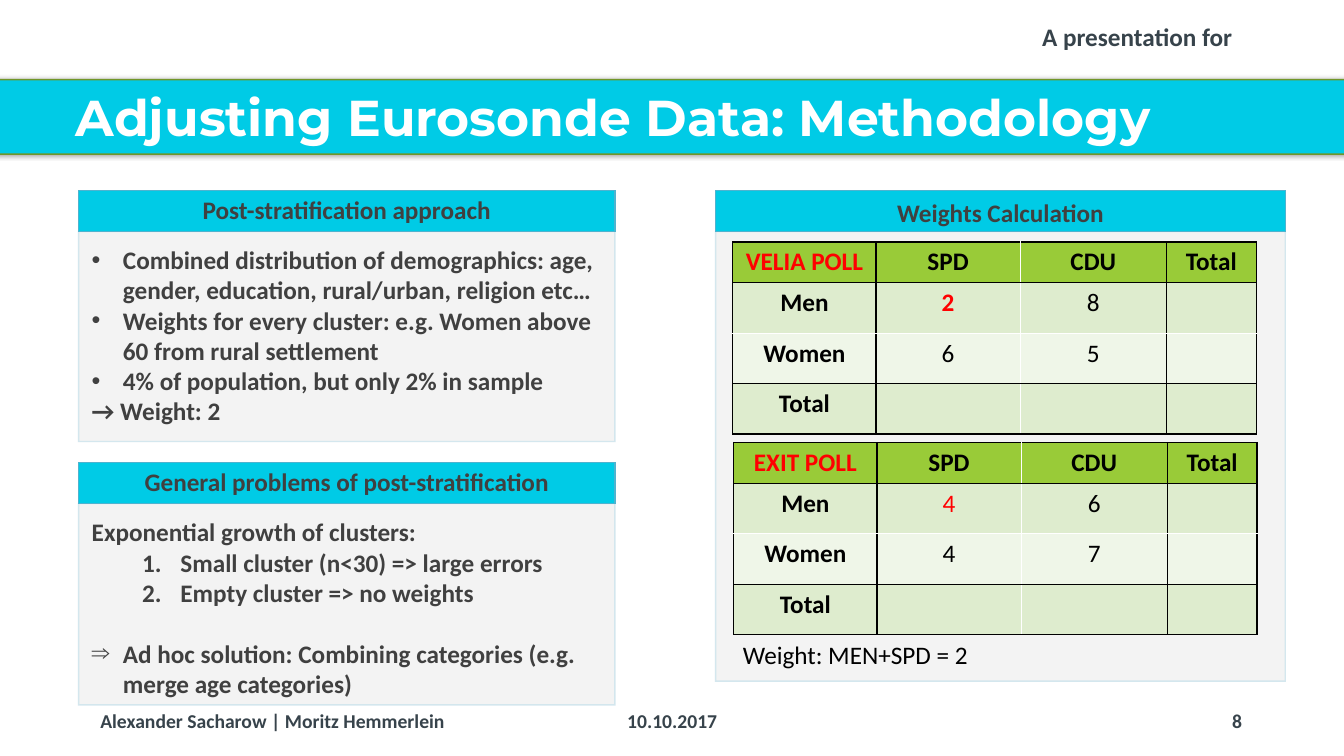
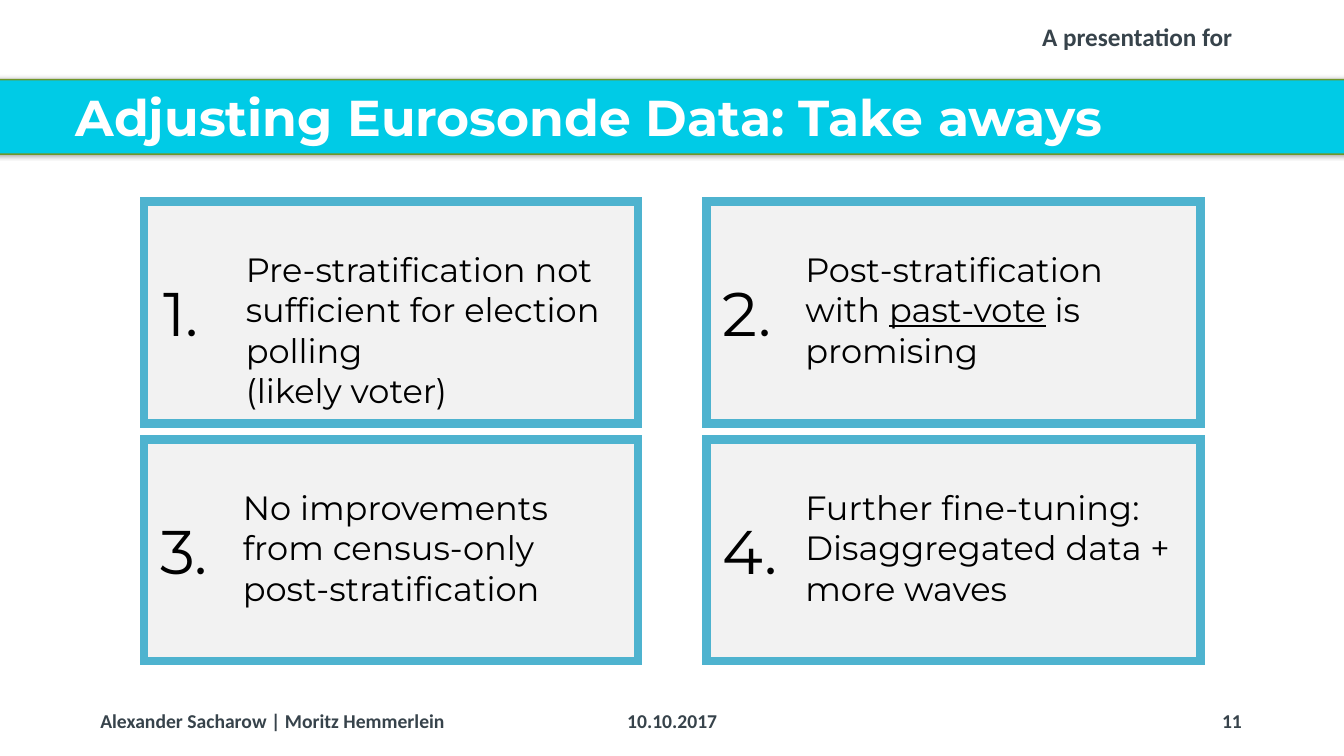
from dataclasses import dataclass
from typing import NamedTuple

from lxml import etree
from pptx import Presentation
from pptx import util as u
from pptx.dml.color import RGBColor
from pptx.enum import shapes, text
from pptx.oxml.ns import qn

WIDTH, HEIGHT = u.Inches(13.33), u.Inches(7.5)
LEFT, CENTER, RIGHT = text.PP_ALIGN.LEFT, text.PP_ALIGN.CENTER, text.PP_ALIGN.RIGHT
TOP, MIDDLE = text.MSO_ANCHOR.TOP, text.MSO_ANCHOR.MIDDLE
RECT = shapes.MSO_SHAPE.RECTANGLE


@dataclass(frozen=True)
class Theme:
    cyan: str = "00CBE6"
    band_line: str = "719629"
    edge: str = "4EB3CF"
    pale_edge: str = "D0E5ED"
    panel: str = "F2F2F2"
    slate: str = "37434B"
    gray: str = "404040"
    black: str = "000000"
    white: str = "FFFFFF"
    red: str = "FF0000"
    head_row: str = "99CB38"
    rows: tuple = ("DEECCE", "EFF6E8")
    sans: str = "Calibri"
    display: str = "Montserrat"
    footer: int = 14
    body: int = 18
    takeaway: int = 24
    title: int = 36
    number: int = 44


T = Theme()


class Box(NamedTuple):
    """Left, top, width and height in percent of the slide."""
    x: float
    y: float
    w: float
    h: float

    def emu(self) -> tuple:
        return (share(self.x, WIDTH), share(self.y, HEIGHT),
                share(self.w, WIDTH), share(self.h, HEIGHT))


class Item(NamedTuple):
    text: str
    bullet: str = ""
    margin: float = 0
    hang: float = 0
    level: int = 0
    before: float = 0


class Panel(NamedTuple):
    heading: str
    box: Box
    items: tuple = ()
    anchor: text.MSO_ANCHOR = MIDDLE


class Poll(NamedTuple):
    name: str
    x: float
    y: float
    men: tuple
    women: tuple
    key_bold: bool


class Card(NamedTuple):
    lines: tuple
    shift: float = 0


PANEL_HEAD = 5.4
COLUMNS = (10.65, 10.73, 10.88, 6.68)
ROWS = (5.33, 6.67, 6.67, 6.67)
WEIGHTS_BOX = Box(53.25, 25.2, 42.38, 64.9)


def dot(line: str) -> Item:
    return Item(line, "•", 0.31, 0.31)


def numbered(line: str) -> Item:
    return Item(line, "1.", 0.88, 0.38, 1)


PANELS = (
    Panel("Post-stratification approach", Box(5.85, 25.2, 39.9, 33.2), (
        dot("Combined distribution of demographics: age, gender, education, "
            "rural/urban, religion etc…"),
        dot("Weights for every cluster: e.g. Women above 60 from rural settlement"),
        dot("4% of population, but only 2% in sample"),
        Item("→ Weight: 2"))),
    Panel("General problems of post-stratification", Box(5.85, 61.2, 39.9, 32.05), (
        Item("Exponential growth of clusters:"),
        numbered("Small cluster (n<30) => large errors"),
        numbered("Empty cluster => no weights"),
        Item("Ad hoc solution: Combining categories (e.g. merge age categories)",
             "⇒", 0.31, 0.31, 0, 22))),
    Panel("Weights Calculation", WEIGHTS_BOX, anchor=TOP),
)
POLLS = (Poll("VELIA POLL", 54.53, 32, ("2", "8"), ("6", "5"), True),
         Poll("EXIT POLL", 54.6, 58.53, ("4", "6"), ("4", "7"), False))
CARDS = (
    Card((("Pre-stratification not sufficient for election polling",),
          ("(likely voter)",)), 0.22),
    Card((("Post-stratification with ", "past-vote", " is promising"),)),
    Card((("No improvements from census-only post-stratification",),)),
    Card((("Further fine-tuning: Disaggregated data + more waves",),)),
)


def share(percent: float, whole: int) -> int:
    return round(percent * whole / 100)


def rgb(color: str) -> RGBColor:
    return RGBColor.from_string(color)


def add_run(p, content: str, *, size: int = T.body, color: str = T.black,
            bold: bool = False, font: str = T.sans, underline: bool = False) -> None:
    r = p.add_run()
    r.text = content
    r.font.size, r.font.name = u.Pt(size), font
    r.font.bold, r.font.underline = bold, underline
    r.font.color.rgb = rgb(color)


def set_frame(tf, anchor=TOP, insets: tuple = (0.1, 0.05, 0.1, 0.05)) -> None:
    tf.word_wrap, tf.auto_size = True, text.MSO_AUTO_SIZE.NONE
    tf.vertical_anchor = anchor
    tf.margin_left, tf.margin_top, tf.margin_right, tf.margin_bottom = map(u.Inches, insets)


def add_label(s, box: Box, content: str, align=LEFT, anchor=TOP, **style) -> None:
    tf = s.shapes.add_textbox(*box.emu()).text_frame
    set_frame(tf, anchor)
    tf.paragraphs[0].alignment = align
    add_run(tf.paragraphs[0], content, **style)


def paint(sp, fill: str, line: str, width: float, opacity: int = 100) -> None:
    sp.fill.solid()
    sp.fill.fore_color.rgb = rgb(fill)
    sp.line.color.rgb = rgb(line)
    sp.line.width = u.Pt(width)
    spPr = sp.element.spPr
    etree.SubElement(spPr.find(qn("a:ln")), qn("a:miter"), lim="800000")
    if opacity < 100:
        for color in spPr.iter(qn("a:srgbClr")):
            etree.SubElement(color, qn("a:alpha"), val=str(opacity * 1000))


def add_block(s, box: Box, fill: str, line: str, width: float = 1,
              kind=RECT, opacity: int = 100):
    sp = s.shapes.add_shape(kind, *box.emu())
    sp.shadow.inherit = False
    paint(sp, fill, line, width, opacity)
    return sp


def add_shadow(sp) -> None:
    effects = sp.element.spPr.find(qn("a:effectLst"))
    shadow = etree.SubElement(effects, qn("a:outerShdw"), blurRad=str(u.Pt(4)),
                              dist=str(u.Pt(3)), dir="0", rotWithShape="0")
    color = etree.SubElement(shadow, qn("a:srgbClr"), val=T.black)
    etree.SubElement(color, qn("a:alpha"), val="40000")


def place(sp, box: Box) -> None:
    sp.left, sp.top, sp.width, sp.height = box.emu()


def new_slide(prs, layout: int, title: str, number: int):
    """Add a slide with the shared tag line, title band and footer."""
    s = prs.slides.add_slide(prs.slide_layouts[layout])
    heading = s.shapes.title
    band = add_block(s, Box(-2.1, 10.53, 103.13, 9.87), T.cyan, T.band_line,
                     kind=shapes.MSO_SHAPE.ROUNDED_RECTANGLE)
    add_shadow(band)
    heading.element.addprevious(band.element)
    place(heading, Box(4.88, 11.6, 86.25, 10.27))
    set_frame(heading.text_frame)
    p = heading.text_frame.paragraphs[0]
    p.alignment, p.line_spacing = LEFT, 0.9
    add_run(p, title, size=T.title, color=T.white, bold=True, font=T.display)
    add_label(s, Box(76.8, 2.13, 17.32, 5.33), "A presentation for",
              color=T.slate, bold=True)
    for x, w, content, align in (
            (4.95, 30.68, "Alexander Sacharow | Moritz Hemmerlein", CENTER),
            (44.1, 11.85, "10.10.2017", CENTER),
            (70.65, 22.5, str(number), RIGHT)):
        add_label(s, Box(x, 92.67, w, 5.33), content, align, MIDDLE,
                  size=T.footer, color=T.slate, bold=True)
    return s


def set_bullet(p, item: Item) -> None:
    pPr = p._p.get_or_add_pPr()
    pPr.set("marL", str(u.Inches(item.margin)))
    pPr.set("indent", str(-u.Inches(item.hang)))
    if not item.bullet:
        etree.SubElement(pPr, qn("a:buNone"))
    elif item.bullet == "1.":
        etree.SubElement(pPr, qn("a:buFont"), typeface=T.sans)
        etree.SubElement(pPr, qn("a:buAutoNum"), type="arabicPeriod")
    else:
        etree.SubElement(pPr, qn("a:buFont"), typeface="Arial")
        etree.SubElement(pPr, qn("a:buChar"), char=item.bullet)


def fill_list(sp, items: tuple) -> None:
    tf = sp.text_frame
    set_frame(tf, TOP, (0.13, 0.13, 0.18, 0.2))
    for i, item in enumerate(items):
        p = tf.add_paragraph() if i else tf.paragraphs[0]
        p.level, p.alignment = item.level, LEFT
        p.space_before, p.space_after = u.Pt(item.before), u.Pt(0)
        set_bullet(p, item)
        add_run(p, item.text, color=T.gray, bold=True)


def add_panel(s, panel: Panel, body=None) -> None:
    """Draw a headed panel; its list goes into the given body placeholder."""
    x, y, w, h = panel.box
    area = Box(x, y + PANEL_HEAD, w, h - PANEL_HEAD)
    if body is None:
        add_block(s, area, T.panel, T.pale_edge, opacity=90)
    else:
        place(body, area)
        paint(body, T.panel, T.pale_edge, 1, 90)
        fill_list(body, panel.items)
    head = add_block(s, Box(x, y, w, PANEL_HEAD), T.cyan, T.edge)
    set_frame(head.text_frame, panel.anchor, (0.18, 0.1, 0.18, 0.1))
    p = head.text_frame.paragraphs[0]
    p.alignment, p.line_spacing = CENTER, 0.9
    add_run(p, panel.heading, color=T.gray, bold=True)


def set_borders(cell, row: int, col: int) -> None:
    """White rules part the two parties and the two sexes; others are black."""
    white = {"lnL": col == 2, "lnR": col == 1, "lnT": row == 2, "lnB": row == 1}
    tcPr = cell._tc.get_or_add_tcPr()
    for side, is_white in white.items():
        ln = etree.SubElement(tcPr, qn(f"a:{side}"), w=str(u.Pt(1)))
        fill = etree.SubElement(ln, qn("a:solidFill"))
        etree.SubElement(fill, qn("a:srgbClr"), val=T.white if is_white else T.black)


def add_poll(s, poll: Poll) -> None:
    values = ((poll.name, "SPD", "CDU", "Total"), ("Men", *poll.men, ""),
              ("Women", *poll.women, ""), ("Total", "", "", ""))
    box = Box(poll.x, poll.y, sum(COLUMNS), sum(ROWS))
    table = s.shapes.add_table(len(ROWS), len(COLUMNS), *box.emu()).table
    table.first_row = table.horz_banding = False
    for column, w in zip(table.columns, COLUMNS):
        column.width = share(w, WIDTH)
    for i, (row, h) in enumerate(zip(table.rows, ROWS)):
        row.height = share(h, HEIGHT)
        for j, cell in enumerate(row.cells):
            cell.margin_left = cell.margin_right = u.Inches(0.05)
            set_borders(cell, i, j)
            cell.fill.solid()
            cell.fill.fore_color.rgb = rgb(T.rows[(i - 1) % 2] if i else T.head_row)
            p = cell.text_frame.paragraphs[0]
            p.alignment = CENTER
            is_key = (i, j) == (1, 1)
            if values[i][j]:
                add_run(p, values[i][j], color=T.red if is_key or i + j == 0 else T.black,
                        bold=i * j == 0 or (is_key and poll.key_bold))


def add_card(s, index: int, card: Card) -> None:
    row, col = divmod(index, 2)
    x, y = 10.73 + 41.85 * col, 26.67 + 31.47 * row
    add_block(s, Box(x, y, 36.75, 29.33), T.panel, T.edge, 6)
    x += card.shift
    tf = s.shapes.add_textbox(*Box(x + 6.6, y + 5.6, 28.65, 17.47).emu()).text_frame
    set_frame(tf)
    for i, line in enumerate(card.lines):
        p = tf.add_paragraph() if i else tf.paragraphs[0]
        for j, part in enumerate(line):
            add_run(p, part, size=T.takeaway, font=T.display, underline=j == 1)
    add_label(s, Box(x + 0.45, y + 9.07, 6.45, 11.2), f"{index + 1}.",
              size=T.number, font=T.display)


def main() -> None:
    prs = Presentation()
    prs.slide_width, prs.slide_height = WIDTH, HEIGHT

    s = new_slide(prs, 3, "Adjusting Eurosonde Data: Methodology", 8)
    for panel, body in zip(PANELS, (s.placeholders[1], s.placeholders[2], None)):
        add_panel(s, panel, body)
    for poll in POLLS:
        add_poll(s, poll)
    add_label(s, Box(54.53, 83.87, 40.35, 5.33), "Weight: MEN+SPD = 2")

    s = new_slide(prs, 5, "Adjusting Eurosonde Data: Take aways", 11)
    for index, card in enumerate(CARDS):
        add_card(s, index, card)

    prs.save("out.pptx")


if __name__ == "__main__":
    main()
